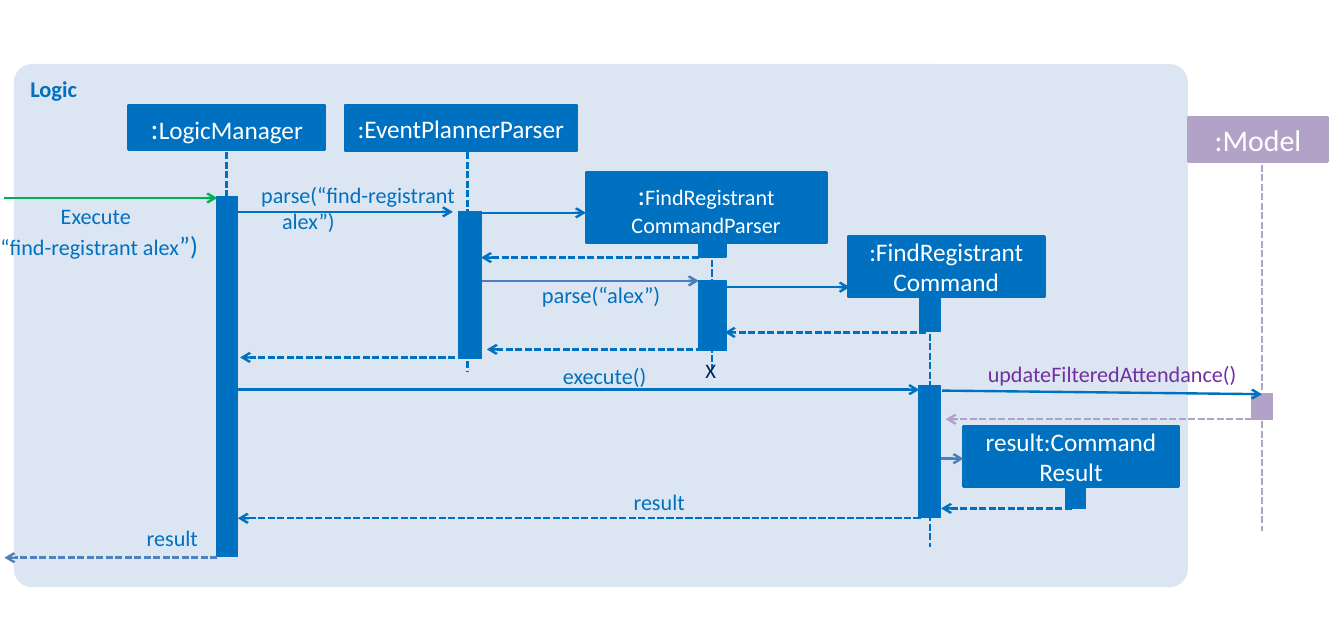
import pptx
import pptx.util
import pptx.dml.color
import pptx.enum.dml
import pptx.enum.shapes
import pptx.enum.text
import pptx.oxml
import pptx.oxml.ns
from itertools import cycle

Cm, Pt = pptx.util.Cm, pptx.util.Pt
RGB = pptx.dml.color.RGBColor
Kind = pptx.enum.shapes.MSO_SHAPE
Align = pptx.enum.text.PP_ALIGN
Anchor = pptx.enum.text.MSO_ANCHOR

BLUE = RGB(0x00, 0x70, 0xC0)
STEEL = RGB(0x4B, 0x7E, 0xBC)
SLATE = RGB(0x4F, 0x81, 0xBD)
GREEN = RGB(0x00, 0xB0, 0x50)
LILAC = RGB(0xB3, 0xA2, 0xC7)
PURPLE = RGB(0x70, 0x30, 0xA0)
NAVY = RGB(0x00, 0x20, 0x60)
PALE = RGB(0xDC, 0xE6, 0xF2)
WHITE = RGB(0xFF, 0xFF, 0xFF)

# Content, lengths in cm; a line of text is a string or a list of (text, size)
PANEL = (0.31, 1.43, 26.21, 11.68)

# Each part: head text, size, head box, lifeline (x, top, end), bars, colour
PARTS = [
    ([[(":", 18.9), ("LogicManager", 16)]], 16, (2.87, 2.35, 4.39, 0.99),
     (5.06, 3.4, 10.9), [(4.84, 4.4, 0.46, 8.03)], BLUE),
    ([":EventPlannerParser"], 16, (7.7, 2.34, 5.18, 1.04),
     (10.44, 3.4, 8.31), [(10.23, 4.72, 0.53, 3.28)], BLUE),
    ([[(":", 18), ("FindRegistrant", 14)], "CommandParser"], 14,
     (13.08, 3.85, 5.37, 1.57), (15.9, 5.38, 8.26),
     [(15.6, 5.38, 0.61, 0.36), (15.6, 6.27, 0.61, 1.55)], BLUE),
    ([":FindRegistrant\vCommand"], 16, (18.93, 5.28, 4.39, 1.35),
     (20.76, 6.6, 12.22),
     [(20.53, 6.6, 0.46, 0.79), (20.5, 8.61, 0.49, 2.95)], BLUE),
    (["result:Command Result"], 16, (21.51, 9.51, 4.8, 1.35),
     None, [(23.78, 10.85, 0.46, 0.51)], BLUE),
    ([":Model"], 18.9, (26.53, 2.62, 3.11, 0.99),
     (28.17, 3.68, 11.86), [(27.94, 8.79, 0.46, 0.58)], LILAC),
]

# Calls: from x, y, to x, y, colour
CALLS = [
    (0.1, 4.42, 4.85, 4.42, GREEN),
    (5.31, 4.73, 10.11, 4.73, BLUE),
    (10.62, 4.75, 13.08, 4.75, BLUE),
    (10.77, 6.27, 15.6, 6.27, STEEL),
    (16.18, 6.41, 18.97, 6.41, BLUE),
    (5.31, 8.7, 20.52, 8.7, BLUE),
    (21.03, 8.72, 28.17, 8.8, BLUE),
    (21.01, 10.24, 21.51, 10.24, STEEL),
]

# Returns: from x, to x, y, colour
RETURNS = [
    (15.6, 10.74, 5.75, BLUE),
    (20.68, 16.18, 7.42, BLUE),
    (15.9, 10.87, 7.8, BLUE),
    (10.16, 5.36, 7.98, BLUE),
    (28.17, 21.11, 9.36, LILAC),
    (23.93, 21.01, 11.35, BLUE),
    (20.55, 5.31, 11.57, BLUE),
    (4.85, 0.1, 12.45, SLATE),
]

# Labels: lines, box, alignment per line, size, colour
LABELS = [
    (["Execute", [("(“find-registrant alex", 14), ("”)", 16.5)]],
     (-0.91, 4.53, 6.1, 1.3), "c", 14, BLUE),
    (["parse(“find-registrant", "alex”)"],
     (3.61, 4.04, 6.55, 1.19), "rc", 14, BLUE),
    (["parse(“alex”)"], (11.18, 6.27, 3.56, 0.61), "r", 14.2, BLUE),
    (["execute()"], (11.84, 8.08, 2.59, 0.61), "r", 14, BLUE),
    (["updateFilteredAttendance()"],
     (21.06, 8.05, 6.55, 0.61), "r", 14, PURPLE),
    (["result"], (13.41, 10.9, 1.88, 0.61), "r", 14, BLUE),
    (["result"], (2.11, 11.71, 2.31, 0.61), "r", 14, BLUE),
]
END = (15.5, 7.86, 0.69, 0.71)

SIDES = {"l": Align.LEFT, "c": Align.CENTER, "r": Align.RIGHT}

# Slide of 21 by 10 units, 40.5 points each
deck = pptx.Presentation()
deck.slide_width, deck.slide_height = Pt(21 * 40.5), Pt(10 * 40.5)
slide = deck.slides.add_slide(deck.slide_layouts[6])
shapes = slide.shapes


def write(frame, lines, size=14, color=WHITE, align="c", bold=False,
          anchor=Anchor.MIDDLE, wrap=True):
    frame.word_wrap = wrap
    frame.vertical_anchor = anchor
    for i, (line, side) in enumerate(zip(lines, cycle(align))):
        para = frame.add_paragraph() if i else frame.paragraphs[0]
        para.alignment = SIDES[side]
        para.font.size = Pt(size)
        for part, pts in [(line, size)] if isinstance(line, str) else line:
            for j, piece in enumerate(part.split("\v")):
                if j:
                    para.add_line_break()
                run = para.add_run()
                run.text = piece
                font = run.font
                font.name, font.size, font.bold = "Calibri", Pt(pts), bold
                font.color.rgb = color


def block(box, color, width=0, kind=Kind.RECTANGLE):
    shape = shapes.add_shape(kind, *map(Cm, box))
    shape.shadow.inherit = False
    shape.fill.solid()
    shape.fill.fore_color.rgb = color
    if width:
        shape.line.color.rgb = color
        shape.line.width = Pt(width)
    else:
        shape.line.fill.background()
    return shape


def rule(x1, y1, x2, y2, color, dash=False, arrow=True):
    link = shapes.add_connector(pptx.enum.shapes.MSO_CONNECTOR.STRAIGHT,
                                *map(Cm, (x1, y1, x2, y2)))
    link.line.color.rgb = color
    link.line.width = Pt(1.5)
    if dash:
        link.line.dash_style = pptx.enum.dml.MSO_LINE.SQUARE_DOT
    props = link._element.spPr
    if arrow:
        tip = pptx.oxml.parse_xml(
            "<a:tailEnd %s type='arrow'/>" % pptx.oxml.ns.nsdecls("a"))
        props.find(pptx.oxml.ns.qn("a:ln")).append(tip)
    props.append(pptx.oxml.parse_xml(
        "<a:effectLst %s/>" % pptx.oxml.ns.nsdecls("a")))


def label(lines, box, inset=True, **form):
    frame = shapes.add_textbox(*map(Cm, box)).text_frame
    if not inset:
        frame.margin_left = frame.margin_right = 0
        frame.margin_top = frame.margin_bottom = 0
    write(frame, lines, anchor=Anchor.TOP, **form)


# Logic panel
panel = block(PANEL, PALE, kind=Kind.ROUNDED_RECTANGLE)
panel.adjustments[0] = 0.035
write(panel.text_frame, ["Logic"], size=14.2, color=BLUE, align="l",
      bold=True, anchor=Anchor.TOP)

# Lifelines, bars and heads
for lines, size, head, life, bars, color in PARTS:
    if life:
        x, top, end = life
        rule(x, top, x, end, color, dash=True, arrow=False)
    for bar in bars:
        block(bar, color, 0.75)
    write(block(head, color, 1.5).text_frame, lines, size=size)

# Messages
for call in CALLS:
    rule(*call)
for start, end, y, color in RETURNS:
    rule(start, y, end, y, color, dash=True)

# Labels and the end mark
for lines, box, align, size, color in LABELS:
    label(lines, box, inset=False, align=align, size=size, color=color)
label(["X"], END, align="l", size=13, color=NAVY, wrap=False)

deck.save("out.pptx")
